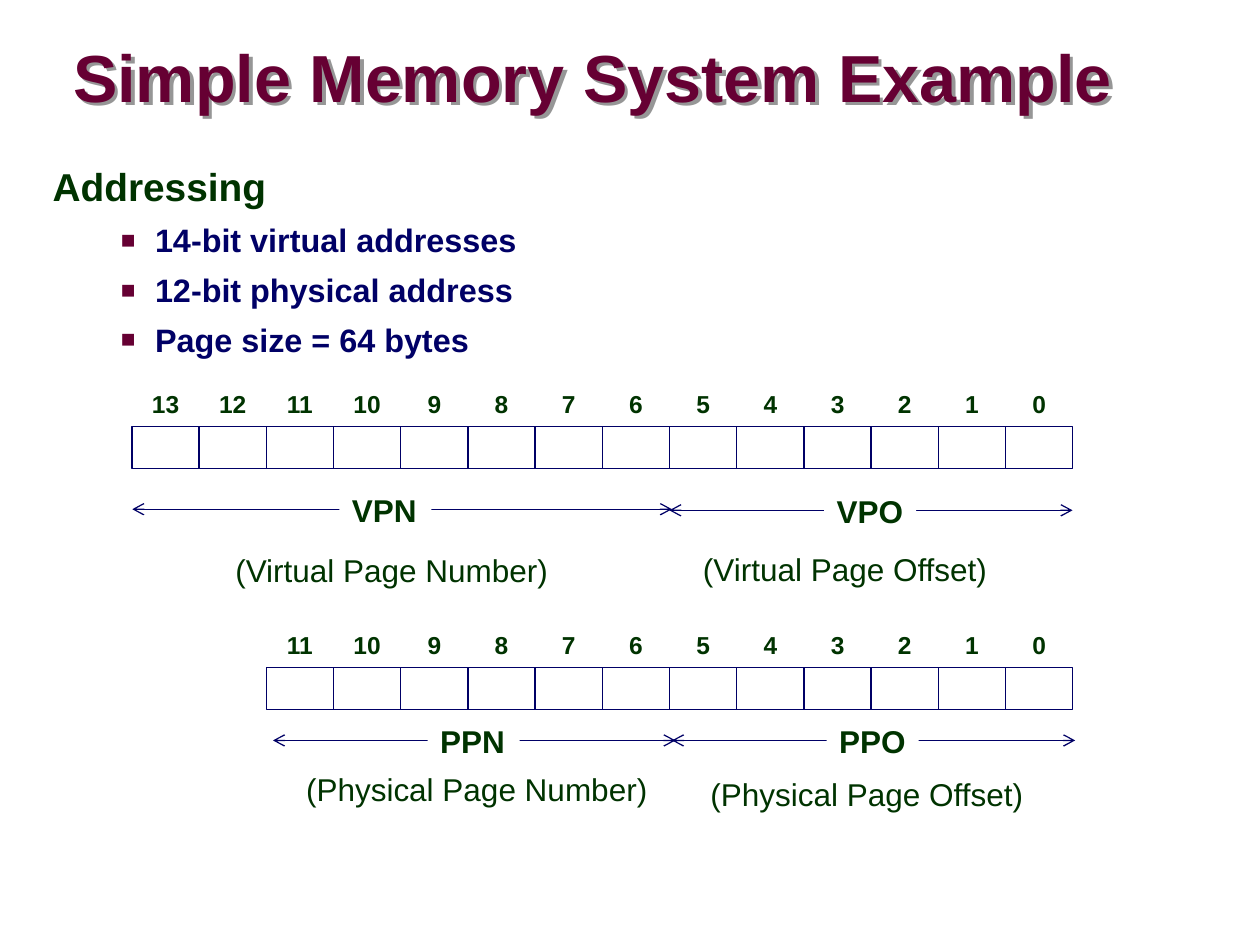
from dataclasses import dataclass

from lxml import etree
from pptx import Presentation, oxml, util as u
from pptx.dml.color import RGBColor
from pptx.enum import shapes, text
from pptx.oxml.ns import qn

NAMESPACE = 'xmlns:a="http://schemas.openxmlformats.org/drawingml/2006/main"'


@dataclass(frozen=True)
class Theme:
    font: str = "Arial"
    maroon: str = "660033"
    green: str = "003300"
    navy: str = "000066"
    white: str = "FFFFFF"
    shadow: str = "969696"
    title_size: float = 38
    heading_size: float = 22.2
    bullet_size: float = 18.5
    label_size: float = 18
    bit_size: float = 14
    line_width: float = 0.75


@dataclass(frozen=True)
class Frame:
    left: float
    top: float
    width: float
    height: float

    def lengths(self):
        return [u.Pt(value) for value in (self.left, self.top, self.width, self.height)]


@dataclass(frozen=True)
class Address:
    bits: int
    top: float


@dataclass(frozen=True)
class Field:
    name: str
    start: float
    end: float
    middle: float
    label_left: float


@dataclass(frozen=True)
class Caption:
    content: str
    frame: Frame


THEME = Theme()
CELL_WIDTH, CELL_HEIGHT, ROW_RIGHT = 38.4, 24, 613
LABEL_WIDTH, LABEL_HEIGHT, LABEL_RISE = 52.6, 26.6, 11.5

BULLETS = ("14-bit virtual addresses", "12-bit physical address", "Page size = 64 bytes")
ADDRESSES = (Address(14, 243.6), Address(12, 381.4))
FIELDS = (
    Field("VPO", 382.5, 612.9, 291.6, 471),
    Field("PPO", 384, 614.4, 423.1, 472.4),
    Field("PPN", 156, 386, 423.1, 244.4),
    Field("VPN", 75.6, 384, 291, 194),
)
CAPTIONS = (
    Caption("(Virtual Page Number)", Frame(127.4, 313.9, 193.7, LABEL_HEIGHT)),
    Caption("(Virtual Page Offset)", Frame(394.6, 313.2, 177.1, LABEL_HEIGHT)),
    Caption("(Physical Page Number)", Frame(167.8, 439.2, 209.5, LABEL_HEIGHT)),
    Caption("(Physical Page Offset)", Frame(398.9, 441.7, 193.7, LABEL_HEIGHT)),
)


def write_text(paragraph, content: str, *, size: float, color: str = THEME.green,
               bold: bool = True, align=text.PP_ALIGN.LEFT, spacing: float = 0.9,
               before: float = 0) -> None:
    paragraph.alignment = align
    paragraph.line_spacing = spacing
    paragraph.space_before = u.Pt(before)
    run = paragraph.add_run()
    run.text = content
    run.font.name = THEME.font
    run.font.size = u.Pt(size)
    run.font.bold = bold
    run.font.color.rgb = RGBColor.from_string(color)


def add_text_box(slide, frame: Frame, *, wrap: bool = False, inset: bool = True,
                 anchor=text.MSO_ANCHOR.TOP):
    shape = slide.shapes.add_textbox(*frame.lengths())
    body = shape.text_frame
    body.word_wrap = wrap
    body.vertical_anchor = anchor
    body.margin_left = body.margin_right = u.Pt(7.2 if inset else 0)
    body.margin_top = body.margin_bottom = u.Pt(3.6 if inset else 0)
    return shape


def indent(paragraph, left: float, hanging: float) -> None:
    properties = paragraph._p.get_or_add_pPr()
    properties.set("marL", str(u.Pt(left)))
    properties.set("indent", str(-u.Pt(hanging)))


def add_bullet(paragraph) -> None:
    indent(paragraph, 58.5, 19.5)
    for element in (f'<a:buClr {NAMESPACE}><a:srgbClr val="{THEME.maroon}"/></a:buClr>',
                    f'<a:buSzPct {NAMESPACE} val="75000"/>',
                    f'<a:buFont {NAMESPACE} typeface="{THEME.font}"/>',
                    f'<a:buChar {NAMESPACE} char="■"/>'):
        paragraph._p.get_or_add_pPr().append(oxml.parse_xml(element))


def draw_title(slide) -> None:
    shape = add_text_box(slide, Frame(41.8, 23.8, 596.2, 45.4), wrap=True, inset=False,
                         anchor=text.MSO_ANCHOR.MIDDLE)
    shape._element.spPr.append(oxml.parse_xml(
        f'<a:effectLst {NAMESPACE}><a:outerShdw dist="{u.Pt(3)}" dir="2700000">'
        f'<a:srgbClr val="{THEME.shadow}"/></a:outerShdw></a:effectLst>'))
    write_text(shape.text_frame.paragraphs[0], "Simple Memory System Example",
               size=THEME.title_size, color=THEME.maroon, spacing=0.87)


def draw_body(slide) -> None:
    body = add_text_box(slide, Frame(23, 93.6, 654.5, 118.8), wrap=True).text_frame
    heading = body.paragraphs[0]
    indent(heading, 30, 30)
    write_text(heading, "Addressing", size=THEME.heading_size, spacing=0.85)
    for content in BULLETS:
        paragraph = body.add_paragraph()
        add_bullet(paragraph)
        write_text(paragraph, content, size=THEME.bullet_size, color=THEME.navy,
                   spacing=1.0, before=6.2)


def draw_address(slide, address: Address) -> None:
    for bit in reversed(range(address.bits)):
        left = ROW_RIGHT - (bit + 1) * CELL_WIDTH
        cell = slide.shapes.add_shape(
            shapes.MSO_SHAPE.RECTANGLE,
            *Frame(left, address.top, CELL_WIDTH, CELL_HEIGHT).lengths())
        cell.shadow.inherit = False
        cell.fill.background()
        cell.line.color.rgb = RGBColor.from_string(THEME.navy)
        cell.line.width = u.Pt(THEME.line_width)
        number = add_text_box(
            slide, Frame(left, address.top - CELL_HEIGHT, CELL_WIDTH, CELL_HEIGHT),
            anchor=text.MSO_ANCHOR.MIDDLE)
        write_text(number.text_frame.paragraphs[0], str(bit), size=THEME.bit_size,
                   align=text.PP_ALIGN.CENTER)


def draw_field(slide, field: Field) -> None:
    arrow = slide.shapes.add_connector(
        shapes.MSO_CONNECTOR.STRAIGHT, u.Pt(field.start), u.Pt(field.middle),
        u.Pt(field.end), u.Pt(field.middle))
    arrow.line.color.rgb = RGBColor.from_string(THEME.navy)
    arrow.line.width = u.Pt(THEME.line_width)
    properties = arrow._element.spPr
    for end in ("a:headEnd", "a:tailEnd"):
        etree.SubElement(properties.find(qn("a:ln")), qn(end), type="arrow")
    etree.SubElement(properties, qn("a:effectLst"))
    label = add_text_box(slide, Frame(field.label_left, field.middle - LABEL_RISE,
                                      LABEL_WIDTH, LABEL_HEIGHT))
    label.fill.solid()
    label.fill.fore_color.rgb = RGBColor.from_string(THEME.white)
    label.text_frame.auto_size = text.MSO_AUTO_SIZE.SHAPE_TO_FIT_TEXT
    write_text(label.text_frame.paragraphs[0], field.name, size=THEME.label_size)


def draw_caption(slide, caption: Caption) -> None:
    body = add_text_box(slide, caption.frame).text_frame
    body.auto_size = text.MSO_AUTO_SIZE.SHAPE_TO_FIT_TEXT
    write_text(body.paragraphs[0], caption.content, size=THEME.label_size, bold=False)


def main() -> None:
    presentation = Presentation()
    presentation.slide_width, presentation.slide_height = u.Pt(720), u.Pt(540)
    slide = presentation.slides.add_slide(presentation.slide_layouts[6])
    draw_title(slide)
    draw_body(slide)
    for address in ADDRESSES:
        draw_address(slide, address)
    for field in FIELDS:
        draw_field(slide, field)
    for caption in CAPTIONS:
        draw_caption(slide, caption)
    presentation.save("out.pptx")


if __name__ == "__main__":
    main()
